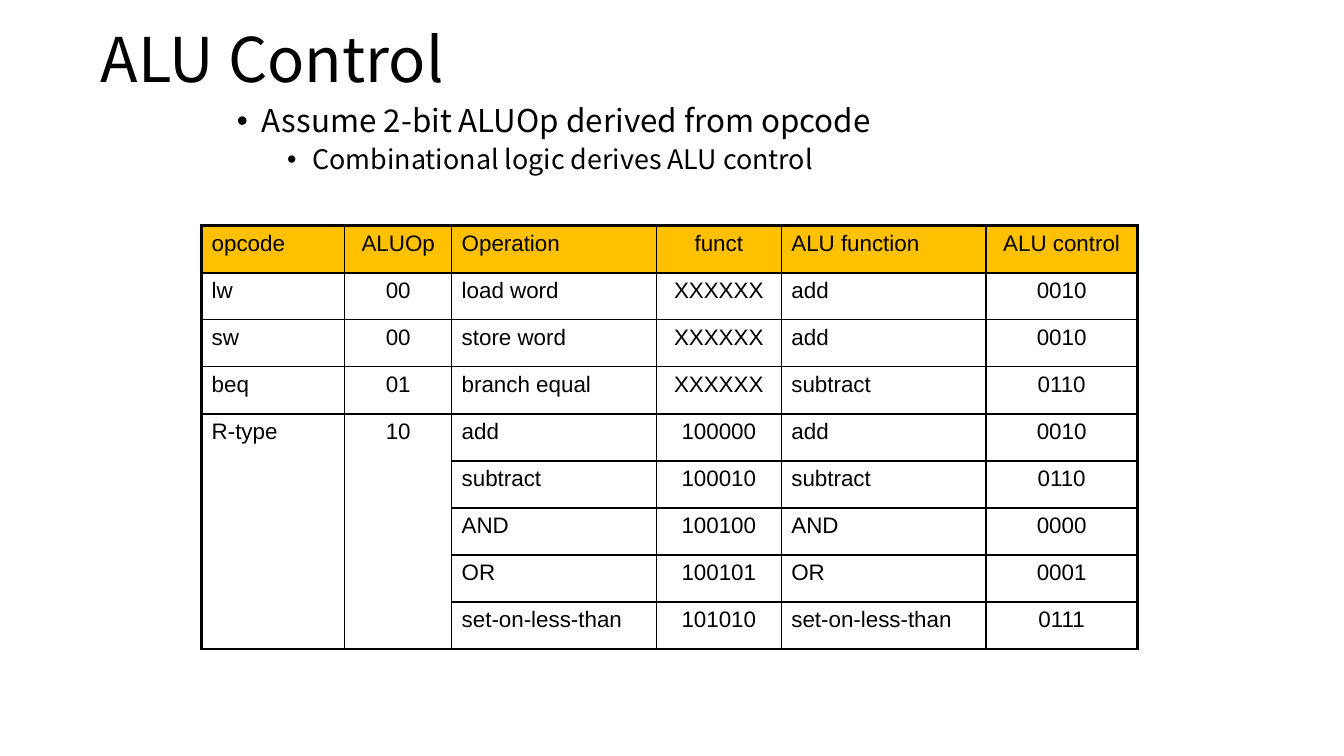
from dataclasses import dataclass

import lxml.etree
import pptx
import pptx.dml.color
import pptx.enum.text
import pptx.oxml.ns
import pptx.util

SLIDE_WIDTH, SLIDE_HEIGHT = 13.33, 7.5
BLACK, AMBER = "000000", "FFC000"
HEADING_FONT, TABLE_FONT = "Noto Sans CJK SC", "Arial"
THIN, MEDIUM, THICK = 1, 1.5, 2.25
LEFT = pptx.enum.text.PP_ALIGN.LEFT
CENTER = pptx.enum.text.PP_ALIGN.CENTER


@dataclass(frozen=True)
class Area:
    """A rectangle in shares of the slide's width and height."""
    left: float
    top: float
    width: float
    height: float

    def lengths(self) -> list[int]:
        return [pptx.util.Inches(share * side) for share, side in (
            (self.left, SLIDE_WIDTH), (self.top, SLIDE_HEIGHT),
            (self.width, SLIDE_WIDTH), (self.height, SLIDE_HEIGHT))]


@dataclass(frozen=True)
class Bullet:
    text: str
    level: int
    size: float
    space_before: float


@dataclass(frozen=True)
class Column:
    heading: str
    weight: float
    alignment: pptx.enum.text.PP_ALIGN


TITLE_AREA = Area(0.9 / SLIDE_WIDTH, -0.1 / SLIDE_HEIGHT, 11.5 / SLIDE_WIDTH, 1.45 / SLIDE_HEIGHT)
BULLET_AREA = Area(2.25 / SLIDE_WIDTH, 1 / SLIDE_HEIGHT, 8.92 / SLIDE_WIDTH, 0.84 / SLIDE_HEIGHT)
TABLE_AREA = Area(2 / SLIDE_WIDTH, 2.24 / SLIDE_HEIGHT, 9.28 / SLIDE_WIDTH, 4.2 / SLIDE_HEIGHT)

BULLETS = [
    Bullet("Assume 2-bit ALUOp derived from opcode", 0, 22.4, 0),
    Bullet("Combinational logic derives ALU control", 1, 19.2, 5),
]
COLUMNS = [
    Column("opcode", 1.42, LEFT),
    Column("ALUOp", 1.06, CENTER),
    Column("Operation", 2.03, LEFT),
    Column("funct", 1.24, CENTER),
    Column("ALU function", 2.03, LEFT),
    Column("ALU control", 1.5, CENTER),
]
OPERATIONS = [
    ("lw", "00", "load word", "XXXXXX", "add", "0010"),
    ("sw", "00", "store word", "XXXXXX", "add", "0010"),
    ("beq", "01", "branch equal", "XXXXXX", "subtract", "0110"),
    ("R-type", "10", "add", "100000", "add", "0010"),
    ("", "", "subtract", "100010", "subtract", "0110"),
    ("", "", "AND", "100100", "AND", "0000"),
    ("", "", "OR", "100101", "OR", "0001"),
    ("", "", "set-on-less-than", "101010", "set-on-less-than", "0111"),
]
R_TYPE_ROW, MERGED_COLUMNS = 4, 2


def color(value: str) -> pptx.dml.color.RGBColor:
    return pptx.dml.color.RGBColor.from_string(value)


def style(para, font_name: str, size: float, alignment=LEFT) -> None:
    para.alignment = alignment
    para.font.name = font_name
    para.font.size = pptx.util.Pt(size)
    para.font.color.rgb = color(BLACK)


def add_element(parent, tag: str, **attributes: str):
    return lxml.etree.SubElement(parent, pptx.oxml.ns.qn(tag), attributes)


def set_title(page, text: str) -> None:
    title = page.shapes.title
    title.left, title.top, title.width, title.height = TITLE_AREA.lengths()
    frame = title.text_frame
    frame.text = text
    frame.auto_size = pptx.enum.text.MSO_AUTO_SIZE.NONE
    frame.vertical_anchor = pptx.enum.text.MSO_ANCHOR.MIDDLE
    para = frame.paragraphs[0]
    para.line_spacing = 0.9
    style(para, HEADING_FONT, 44)


def add_bullets(page, bullets: list[Bullet]) -> None:
    frame = page.shapes.add_textbox(*BULLET_AREA.lengths()).text_frame
    frame.word_wrap = True
    for index, bullet in enumerate(bullets):
        para = frame.add_paragraph() if index else frame.paragraphs[0]
        para.text = bullet.text
        para.level = bullet.level
        properties = para._p.get_or_add_pPr()
        properties.set("marL", str(pptx.util.Inches(0.25 + 0.5 * bullet.level)))
        properties.set("indent", str(pptx.util.Inches(-0.25)))
        add_element(properties, "a:buFont", typeface="Arial")
        add_element(properties, "a:buChar", char="•")
        para.line_spacing = 0.9
        para.space_before = pptx.util.Pt(bullet.space_before)
        style(para, HEADING_FONT, bullet.size)


def set_borders(cell, widths: dict[str, float]) -> None:
    properties = cell._tc.get_or_add_tcPr()
    for side, width in widths.items():
        line = add_element(properties, f"a:ln{side}", w=str(pptx.util.Pt(width)))
        add_element(add_element(line, "a:solidFill"), "a:srgbClr", val=BLACK)


def row_edge(edge: int, last: int) -> float:
    """Width of the rule above row number `edge`."""
    return THICK if edge in (0, last) else MEDIUM if edge == 1 else THIN


def add_control_table(page) -> None:
    rows = [tuple(column.heading for column in COLUMNS), *OPERATIONS]
    row_count, column_count = len(rows), len(COLUMNS)
    frame = page.shapes.add_table(row_count, column_count, *TABLE_AREA.lengths())
    table = frame.table
    table.first_row = table.horz_banding = False

    # Column widths follow their weights
    total_weight = sum(column.weight for column in COLUMNS)
    table_width = frame.width
    for table_column, column in zip(table.columns, COLUMNS):
        table_column.width = int(table_width * column.weight / total_weight)

    # The R-type cells reach down to the last row
    for column_index in range(MERGED_COLUMNS):
        table.cell(R_TYPE_ROW, column_index).merge(table.cell(row_count - 1, column_index))

    # Cell text, rules and fills
    for row_index, values in enumerate(rows):
        for column_index, (column, value) in enumerate(zip(COLUMNS, values)):
            cell = table.cell(row_index, column_index)
            bottom = row_count if cell.is_merge_origin else row_index + 1
            set_borders(cell, {
                "L": THIN if column_index else THICK,
                "R": THIN if column_index < column_count - 1 else THICK,
                "T": row_edge(row_index, row_count),
                "B": row_edge(bottom, row_count),
            })
            if row_index == 0:
                cell.fill.solid()
                cell.fill.fore_color.rgb = color(AMBER)
            else:
                cell.fill.background()
            if value:
                cell.text = value
            style(cell.text_frame.paragraphs[0], TABLE_FONT, 16, column.alignment)


def main() -> None:
    deck = pptx.Presentation()
    deck.slide_width = pptx.util.Inches(SLIDE_WIDTH)
    deck.slide_height = pptx.util.Inches(SLIDE_HEIGHT)
    page = deck.slides.add_slide(deck.slide_layouts.get_by_name("Title Only"))
    set_title(page, "ALU Control")
    add_bullets(page, BULLETS)
    add_control_table(page)
    deck.save("out.pptx")


if __name__ == "__main__":
    main()
